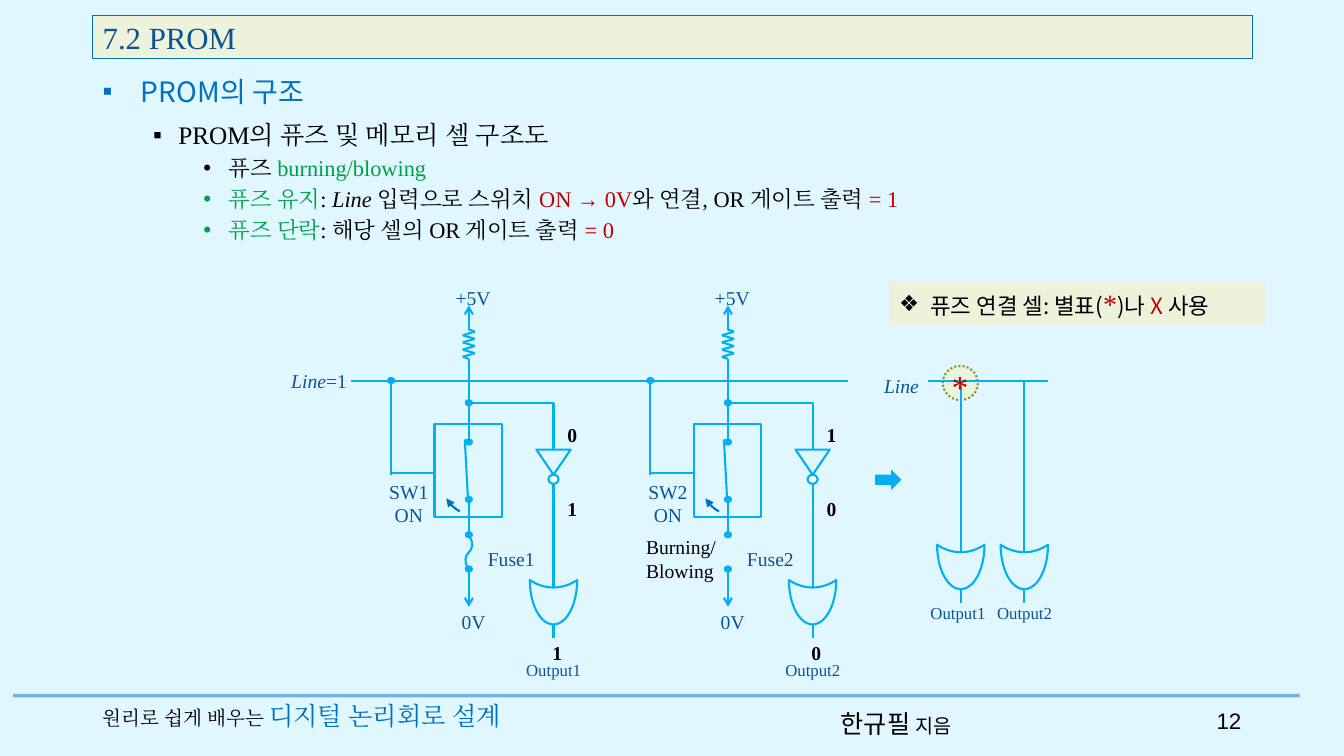
from itertools import pairwise

from lxml import etree
from pptx import Presentation
from pptx.dml.color import RGBColor
from pptx.enum.dml import MSO_LINE
from pptx.enum.shapes import MSO_CONNECTOR as Connector, MSO_SHAPE as Shape
from pptx.enum.text import MSO_ANCHOR as Anchor, PP_ALIGN as Align
from pptx.oxml.ns import qn
from pptx.util import Inches, Pt

SERIF, SANS, ARIAL = "Times New Roman", "Noto Sans CJK KR", "Arial"
BLACK = RGBColor(0x00, 0x00, 0x00)
WHITE = RGBColor(0xFF, 0xFF, 0xFF)
NAVY = RGBColor(0x0B, 0x53, 0x94)
BLUE = RGBColor(0x00, 0x70, 0xC0)
CYAN = RGBColor(0x00, 0xB0, 0xF0)
GREEN = RGBColor(0x00, 0xA0, 0x48)
RED = RGBColor(0xC0, 0x00, 0x00)
CREAM = RGBColor(0xED, 0xF3, 0xDB)
OLIVE = RGBColor(0x7E, 0x96, 0x32)
RULE = RGBColor(0x0F, 0x6F, 0xC6)
PALE = RGBColor(0xE1, 0xF7, 0xFF)

# Runs: (text, size, colour, font, style)
TITLE = [("7.2 PROM", 22, NAVY, SERIF, "")]
HEADING = [("PROM의 구조", 20, BLUE, SANS, "")]
# Outline: (level, bullet, runs)
OUTLINE = [
    (1, "▪", [("PROM의 퓨즈 및 메모리 셀 구조도", 18, BLACK, SERIF, "")]),
    (2, "•", [("퓨즈 ", 16, BLACK, SERIF, ""),
              ("burning/blowing", 16, GREEN, SERIF, "")]),
    (2, "•", [("퓨즈 유지", 16, GREEN, SERIF, ""),
              (": ", 16, BLACK, SERIF, ""),
              ("Line ", 16, BLACK, SERIF, "i"),
              ("입력으로 스위치 ", 16, BLACK, SERIF, ""),
              ("ON → 0V", 16, RED, SERIF, ""),
              ("와 연결, OR 게이트 출력 ", 16, BLACK, SERIF, ""),
              ("= 1", 16, RED, SERIF, "")]),
    (2, "•", [("퓨즈 단락", 16, GREEN, SERIF, ""),
              (": 해당 셀의 OR 게이트 출력 ", 16, BLACK, SERIF, ""),
              ("= 0", 16, RED, SERIF, "")]),
]
OUTLINE_INDENT = {1: 0.75, 2: 1.25}
CALLOUT = [("퓨즈 연결 셀: 별표(", 16, BLACK, SANS, ""),
           ("*", 20, RED, SERIF, ""),
           (")나 ", 16, BLACK, SANS, ""),
           ("X", 16, RED, SANS, ""),
           (" 사용", 16, BLACK, SANS, "")]
BOOK = [("원리로 쉽게 배우는 ", 14, BLACK, SERIF, ""),
        ("디지털 논리회로 설계", 18, BLUE, SERIF, "")]
AUTHOR = [("한규필 ", 18, BLACK, SANS, ""), ("지음", 14, BLACK, SANS, "")]
PAGE = [("12", 16, BLACK, ARIAL, "")]

# Cells: switch, fuse, inverter input, inverter output, gate output, output name, blown
CELLS = [
    ("SW1\nON", "Fuse1", "0", "1", "1", "Output1", False),
    ("SW2\nON", "Fuse2", "1", "0", "0", "Output2", True),
]
CELL_PITCH = 2.57
LINE_Y = 3.78
SYMBOL_GATES = [(9.53, 9.13, "Output1"), (10.16, 9.79, "Output2")]

prs = Presentation()
prs.slide_width, prs.slide_height = Inches(13.33), Inches(7.5)
slide = prs.slides.add_slide(prs.slide_layouts[6])
slide.background.fill.solid()
slide.background.fill.fore_color.rgb = PALE


def add_runs(paragraph, runs):
    for text, size, color, font, style in runs:
        for row, part in enumerate(text.split("\n")):
            if row:
                paragraph.add_line_break()
            run = paragraph.add_run()
            run.text = part
            run.font.size, run.font.name = Pt(size), font
            run.font.color.rgb = color
            run.font.bold, run.font.italic = "b" in style, "i" in style
            east_asian = etree.SubElement(run.font._element, qn("a:ea"))
            east_asian.set("typeface", font)


def set_bullet(paragraph, char, left, hanging):
    props = paragraph._p.get_or_add_pPr()
    props.set("marL", str(Inches(left)))
    props.set("indent", str(-Inches(hanging)))
    etree.SubElement(props, qn("a:buFont")).set("typeface", ARIAL)
    etree.SubElement(props, qn("a:buChar")).set("char", char)


def fill_frame(frame, runs, align=Align.LEFT, anchor=Anchor.TOP, wrap=True):
    frame.word_wrap, frame.vertical_anchor = wrap, anchor
    paragraph = frame.paragraphs[0]
    paragraph.alignment = align
    add_runs(paragraph, runs)
    return paragraph


def add_text(box, runs, **layout):
    frame = slide.shapes.add_textbox(*map(Inches, box)).text_frame
    return fill_frame(frame, runs, **layout)


def add_label(x, y, w, h, text, size=14, color=NAVY, style="", align=Align.LEFT):
    add_text((x, y, w, h), [(text, size, color, SERIF, style)], align=align, wrap=False)


def add_part(kind, box, fill=None, line=CYAN, width=1.5):
    part = slide.shapes.add_shape(kind, *map(Inches, box))
    part.shadow.inherit = False
    if fill is None:
        part.fill.background()
    else:
        part.fill.solid()
        part.fill.fore_color.rgb = fill
    if line is None:
        part.line.fill.background()
    else:
        part.line.color.rgb, part.line.width = line, Pt(width)
    return part


def add_arrowhead(part, kind):
    etree.SubElement(part.line._get_or_add_ln(), qn("a:tailEnd")).set("type", kind)


def add_wire(x1, y1, x2, y2, kind=Connector.STRAIGHT, color=CYAN, width=1.5):
    wire = slide.shapes.add_connector(kind, *map(Inches, (x1, y1, x2, y2)))
    wire.line.color.rgb, wire.line.width = color, Pt(width)
    etree.SubElement(wire._element.spPr, qn("a:effectLst"))
    return wire


def add_dot(x, y):
    add_part(Shape.OVAL, (x - 0.03, y - 0.03, 0.06, 0.05), CYAN)


def add_or_gate(x, y):
    """Draw an OR gate centred on x, y with its output facing down."""
    gate = add_part(Shape.MOON, (x - 0.22, y - 0.23, 0.44, 0.47), PALE)
    gate.adjustments[0] = 0.833
    gate.rotation = 90
    gate._element.spPr.xfrm.set("flipH", "1")


def add_cell(x, switch, fuse, gate_in, gate_out, result, output, blown):
    """Draw one memory cell around the vertical supply wire at x."""
    tap, branch = x - 0.77, x + 0.84
    add_part(Shape.RECTANGLE, (x - 0.34, 4.21, 0.67, 0.92))
    zigzag = [(x + (-0.06 if i % 2 else 0.06), 3.29 + i * 0.25 / 7) for i in range(8)]
    resistor = [(x, 3.22), (x, 3.27), *zigzag, (x, 3.56), (x, 3.61)]
    for start, end in pairwise(resistor):
        add_wire(*start, *end)
    for wire in [(x, 4.38, x, 3.61), (x, 5.29, x, 4.98), (tap, 4.69, x - 0.33, 4.69),
                 (tap, 4.71, tap, LINE_Y), (x, 4, branch, 4),
                 (branch, 6.33, branch, 4), (x - 0.01, 4.92, x - 0.04, 4.36)]:
        add_wire(*wire)
    for start, end in [(3.22, 3.03), (5.66, 6.02)]:
        add_arrowhead(add_wire(x, start, x, end), "arrow")
    if blown:
        add_label(x - 0.91, 5.26, 0.9, 0.57, "Burning/\nBlowing", color=BLACK)
    else:
        link = add_wire(x + 0.11, 5.58, x - 0.11, 5.38, Connector.CURVE)
        link._element.spPr.xfrm.set("rot", str(52 * 60000))
    inverter = add_part(Shape.ISOSCELES_TRIANGLE, (branch - 0.17, 4.46, 0.34, 0.25), PALE)
    inverter.rotation = 180
    add_part(Shape.OVAL, (branch - 0.05, 4.71, 0.1, 0.09), WHITE)
    add_or_gate(branch, 5.97)
    for dot in [(tap, LINE_Y), (x, 4), (x, 4.39), (x, 4.96), (x, 5.31), (x, 5.65)]:
        add_dot(*dot)
    throw = add_part(Shape.ARC, (x - 0.26, 4.46, 0.62, 0.67), line=BLUE)
    throw.adjustments[0], throw.adjustments[1] = 162 * 0.6, 196.74 * 0.6
    throw.rotation = 314.6
    add_arrowhead(throw, "triangle")
    add_label(x - 0.23, 2.79, 0.55, 0.34, "+5V")
    add_label(x - 0.17, 6, 0.44, 0.34, "0V")
    add_label(x + 0.09, 5.38, 0.67, 0.34, fuse)
    add_label(x - 0.89, 4.71, 0.59, 0.57, switch, align=Align.CENTER)
    for dx, y, bit in [(0.88, 4.15, gate_in), (0.88, 4.88, gate_out), (0.73, 6.31, result)]:
        add_label(x + dx, y, 0.3, 0.34, bit, color=BLACK, style="b")
    add_label(x + 0.47, 6.5, 0.75, 0.3, output, size=12)


# Footer
rule = add_wire(0.13, 6.9, 12.89, 6.9, color=RULE, width=2.5)
rule_color = rule.line._get_or_add_ln().find(".//" + qn("a:srgbClr"))
etree.SubElement(rule_color, qn("a:alpha")).set("val", "50000")
add_text((8.24, 6.98, 1.53, 0.4), AUTHOR)
add_text((11.79, 6.95, 0.62, 0.4), PAGE, align=Align.RIGHT, anchor=Anchor.MIDDLE)
add_text((0.92, 6.9, 4.63, 0.4), BOOK, anchor=Anchor.MIDDLE)

# Title and outline
title_bar = add_part(Shape.RECTANGLE, (0.92, 0.15, 11.5, 0.43), CREAM, BLUE, 0.75)
fill_frame(title_bar.text_frame, TITLE, anchor=Anchor.MIDDLE)
set_bullet(add_text((0.92, 0.69, 6.67, 0.44), HEADING), "▪", 0.38, 0.38)
outline_frame = slide.shapes.add_textbox(*map(Inches, (0.92, 1.17, 11.5, 1.36))).text_frame
outline_frame.word_wrap = True
for row, (level, bullet, runs) in enumerate(OUTLINE):
    item = outline_frame.add_paragraph() if row else outline_frame.paragraphs[0]
    item.level, item.line_spacing = level, 0.9
    item.space_before = Pt(5 if row else 0)
    set_bullet(item, bullet, OUTLINE_INDENT[level], 0.25)
    add_runs(item, runs)

# Fuse circuit
add_wire(3.48, LINE_Y, 8.41, LINE_Y)
add_text((2.79, 3.61, 0.76, 0.34),
         [("Line", 14, NAVY, SERIF, "i"), ("=1", 14, NAVY, SERIF, "")], wrap=False)
for column, cell in enumerate(CELLS):
    add_cell(4.65 + column * CELL_PITCH, *cell)

# Simplified symbol
add_part(Shape.RIGHT_ARROW, (8.68, 4.66, 0.26, 0.2), CYAN, None)
marker = add_part(Shape.OVAL, (9.35, 3.63, 0.35, 0.34), CREAM, OLIVE)
marker.line.dash_style = MSO_LINE.ROUND_DOT
add_wire(9.2, LINE_Y, 10.39, LINE_Y)
add_label(8.67, 3.66, 0.56, 0.34, "Line", style="i")
for gate_x, name_x, name in SYMBOL_GATES:
    add_wire(gate_x, 5.98, gate_x, LINE_Y)
    add_or_gate(gate_x, 5.62)
    add_label(name_x, 5.93, 0.75, 0.3, name, size=12)
add_label(9.34, 3.58, 0.37, 0.5, "*", size=24, color=RED)
callout = add_part(Shape.RECTANGLE, (8.82, 2.79, 3.73, 0.44), CREAM, None)
set_bullet(fill_frame(callout.text_frame, CALLOUT, anchor=Anchor.MIDDLE), "❖", 0.31, 0.31)

prs.save("out.pptx")
